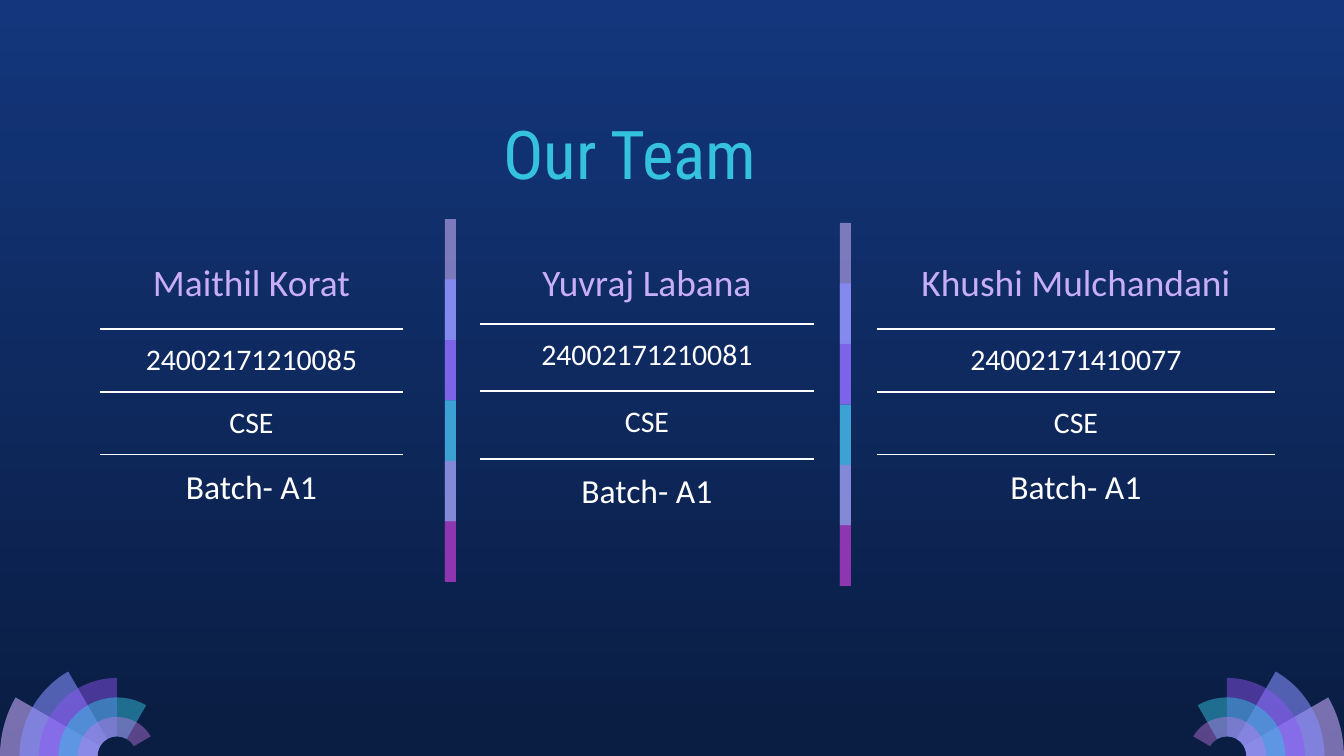
import math
from dataclasses import dataclass

from lxml import etree
from pptx import Presentation
from pptx import util as u
from pptx.dml.color import RGBColor
from pptx.enum import shapes, text
from pptx.oxml.ns import qn


@dataclass(frozen=True)
class Theme:
    sky: str = "13367C"
    night: str = "0A1D42"
    white: str = "FFFFFF"
    mauve: str = "C8ACFD"
    lilac: str = "C8AEF8"
    periwinkle: str = "878FFF"
    violet: str = "9154F8"
    cyan: str = "35C2DF"
    orchid: str = "CA7BEB"
    purple: str = "972CB4"
    heading_font: str = "Roboto Condensed"
    body_font: str = "Calibri"
    heading: int = 36
    name: int = 20
    detail: int = 16
    batch: int = 18
    rule: float = 0.75


theme = Theme()
PX = 914400 / 134.4
NO_TABLE_STYLE = "{2D5ABB26-0587-4C30-8999-92F81FD0307C}"


def px(length):
    return u.Emu(round(length * PX))


def paint(shape, color, opacity):
    """Fill a shape without outline or shadow; opacity is in percent."""
    shape.shadow.inherit = False
    shape.line.fill.background()
    shape.fill.solid()
    shape.fill.fore_color.rgb = RGBColor.from_string(color)
    tint = shape.fill._xPr.find(qn("a:solidFill"))[0]
    etree.SubElement(tint, qn("a:alpha"), val=str(opacity * 1000))


deck = Presentation()
deck.slide_width, deck.slide_height = px(1344), px(756)
slide = deck.slides.add_slide(deck.slide_layouts[5])

sky = slide.background.fill
sky.gradient()
sky.gradient_angle = 270
for stop, color, position in zip(sky.gradient_stops, (theme.sky, theme.night), (0, 1)):
    stop.color.rgb = RGBColor.from_string(color)
    stop.position = position

# Corner fans: ring sectors, each 30 degrees wider and one ring smaller
petals = [
    (theme.mauve, 58),
    (theme.periwinkle, 58),
    (theme.violet, 46),
    (theme.cyan, 49),
    (theme.orchid, 42),
]
ring = 117 / 6
for center_x, side in ((117, -1), (1227, 1)):
    fan = slide.shapes.add_group_shape()
    for index, (color, opacity) in enumerate(petals):
        sweep = 30 * (index + 1)
        angles = sorted({0, min(sweep, 90), sweep})
        corners = [(ring * (6 - index), math.radians(a)) for a in reversed(angles)]
        corners += [(ring, math.radians(a)) for a in angles]
        outline = [
            (px(center_x + side * radius * math.cos(a)), px(756 - radius * math.sin(a)))
            for radius, a in corners
        ]
        builder = fan.shapes.build_freeform(*outline[0])
        builder.add_line_segments(outline[1:], close=True)
        petal = builder.convert_to_shape()
        paint(petal, color, opacity)

        # Bend each side that stays on one radius into a circular arc
        sides = list(petal._element.iter(qn("a:lnTo")))
        for edge, start, end, a, b in zip(sides, corners, corners[1:], outline, outline[1:]):
            if start[0] != end[0]:
                continue
            reach = 4 / 3 * math.tan((end[1] - start[1]) / 4) * start[0] * PX
            edge.tag = qn("a:cubicBezTo")
            handles = [(a, start[1], reach), (b, end[1], -reach)]
            for place, ((x, y), angle, pull) in enumerate(handles):
                handle = etree.Element(
                    qn("a:pt"),
                    x=str(round(x - side * pull * math.sin(angle) - petal.left)),
                    y=str(round(y - pull * math.cos(angle) - petal.top)))
                edge.insert(place, handle)

title = slide.shapes.title
slide.shapes._spTree.append(title._element)
title.left, title.top, title.width, title.height = map(px, (63, 127, 1134, 79))
title_format = {
    "text": "Our Team",
    "vertical_anchor": text.MSO_ANCHOR.BOTTOM,
    "auto_size": text.MSO_AUTO_SIZE.NONE,
    "word_wrap": True,
    "margin_left": px(13),
    "margin_right": px(13),
    "margin_top": px(13),
    "margin_bottom": px(13),
}
for attribute, value in title_format.items():
    setattr(title.text_frame, attribute, value)
heading = title.text_frame.paragraphs[0]
heading.alignment = text.PP_ALIGN.CENTER
heading.font.name = theme.heading_font
heading.font.size = u.Pt(theme.heading)
heading.font.color.rgb = RGBColor.from_string(theme.cyan)

# One table per member: left, width, side margin, row heights, name, number
members = [
    (100, 303, 13, (81, 63, 63, 67), "Maithil Korat", "24002171210085"),
    (480, 334, 15, (76, 67, 68, 118), "Yuvraj Labana", "24002171210081"),
    (877, 398, 15, (81, 63, 63, 111), "Khushi Mulchandani", "24002171410077"),
]
row_styles = [
    (theme.name, theme.lilac),
    (theme.detail, theme.white),
    (theme.detail, theme.white),
    (theme.batch, theme.white),
]
for left, width, margin, heights, name, number in members:
    table = slide.shapes.add_table(
        4, 1, px(left), px(248), px(width), px(sum(heights))).table
    table.first_row = table.horz_banding = False
    table._tbl.tblPr.find(qn("a:tableStyleId")).text = NO_TABLE_STYLE
    entries = (name, number, "CSE", "Batch- A1")
    for row, (entry, height, (size, color)) in enumerate(zip(entries, heights, row_styles)):
        table.rows[row].height = px(height)
        cell = table.cell(row, 0)
        cell_format = {
            "text": entry,
            "margin_left": px(margin),
            "margin_right": px(margin),
            "margin_top": px(13),
            "margin_bottom": px(13),
        }
        for attribute, value in cell_format.items():
            setattr(cell, attribute, value)
        cell.fill.background()
        line = cell.text_frame.paragraphs[0]
        line.alignment = text.PP_ALIGN.CENTER
        line.font.name = theme.body_font
        line.font.size = u.Pt(size)
        line.font.color.rgb = RGBColor.from_string(color)

        # Rules run only between rows
        edges = [("a:lnB", row < 3), ("a:lnT", row > 0)]
        for edge in [tag for tag, inner in edges if inner]:
            border = etree.Element(qn(edge), w=str(u.Pt(theme.rule)))
            fill = etree.SubElement(border, qn("a:solidFill"))
            etree.SubElement(fill, qn("a:srgbClr"), val=theme.white)
            cell._tc.get_or_add_tcPr().insert(0, border)

# Dividers: translucent bands, each overlapping half of the one before
bands = [
    (theme.lilac, 59),
    (theme.periwinkle, 74),
    (theme.violet, 53),
    (theme.cyan, 76),
    (theme.orchid, 56),
    (theme.purple, 74),
]
step = 60.5
for left, top in ((445, 219), (840, 223)):
    divider = slide.shapes.add_group_shape()
    for index, (color, opacity) in enumerate(bands):
        height = step if index == len(bands) - 1 else 2 * step
        band = divider.shapes.add_shape(
            shapes.MSO_SHAPE.RECTANGLE,
            px(left), px(top + index * step), px(11), px(height))
        paint(band, color, opacity)

deck.save("out.pptx")
